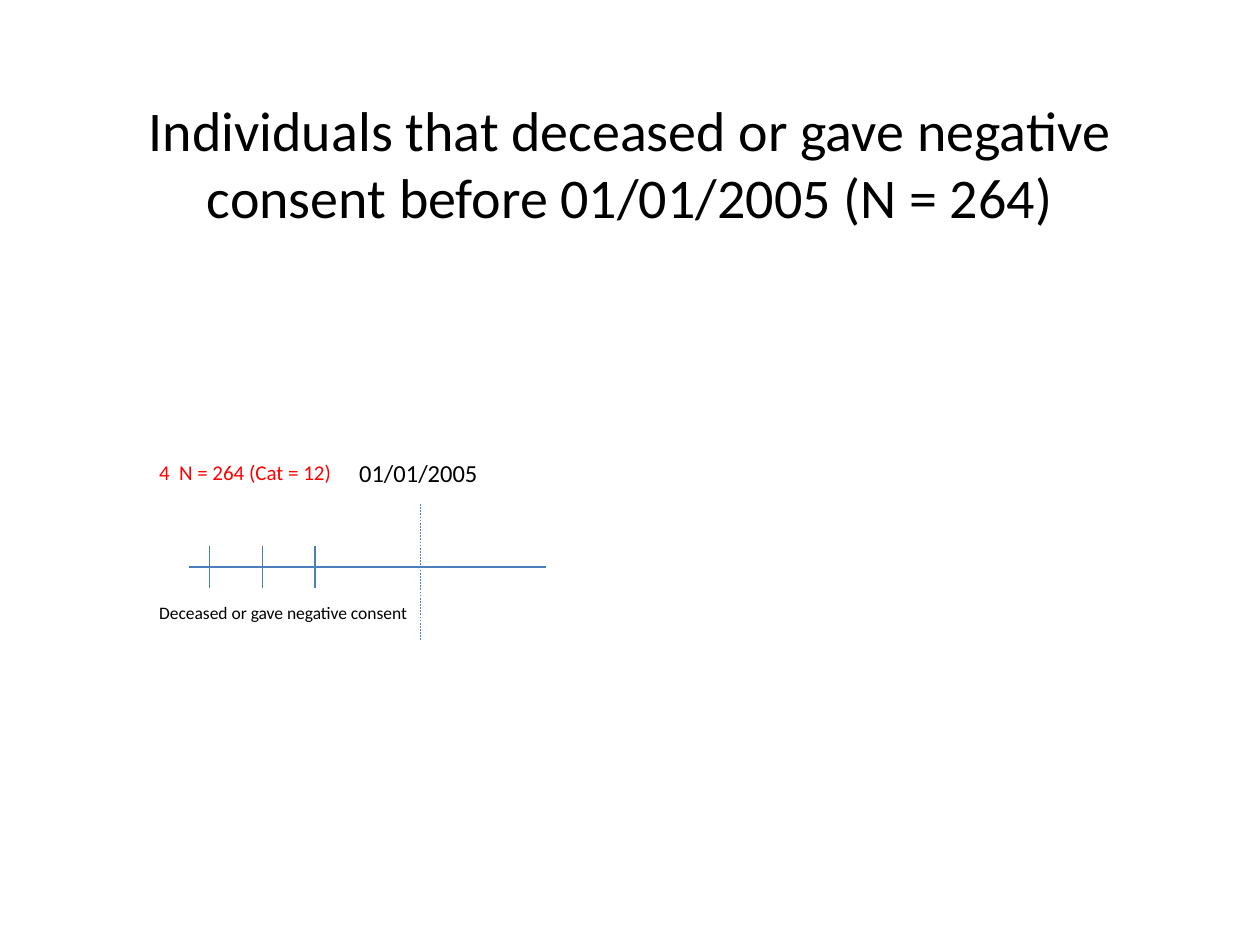
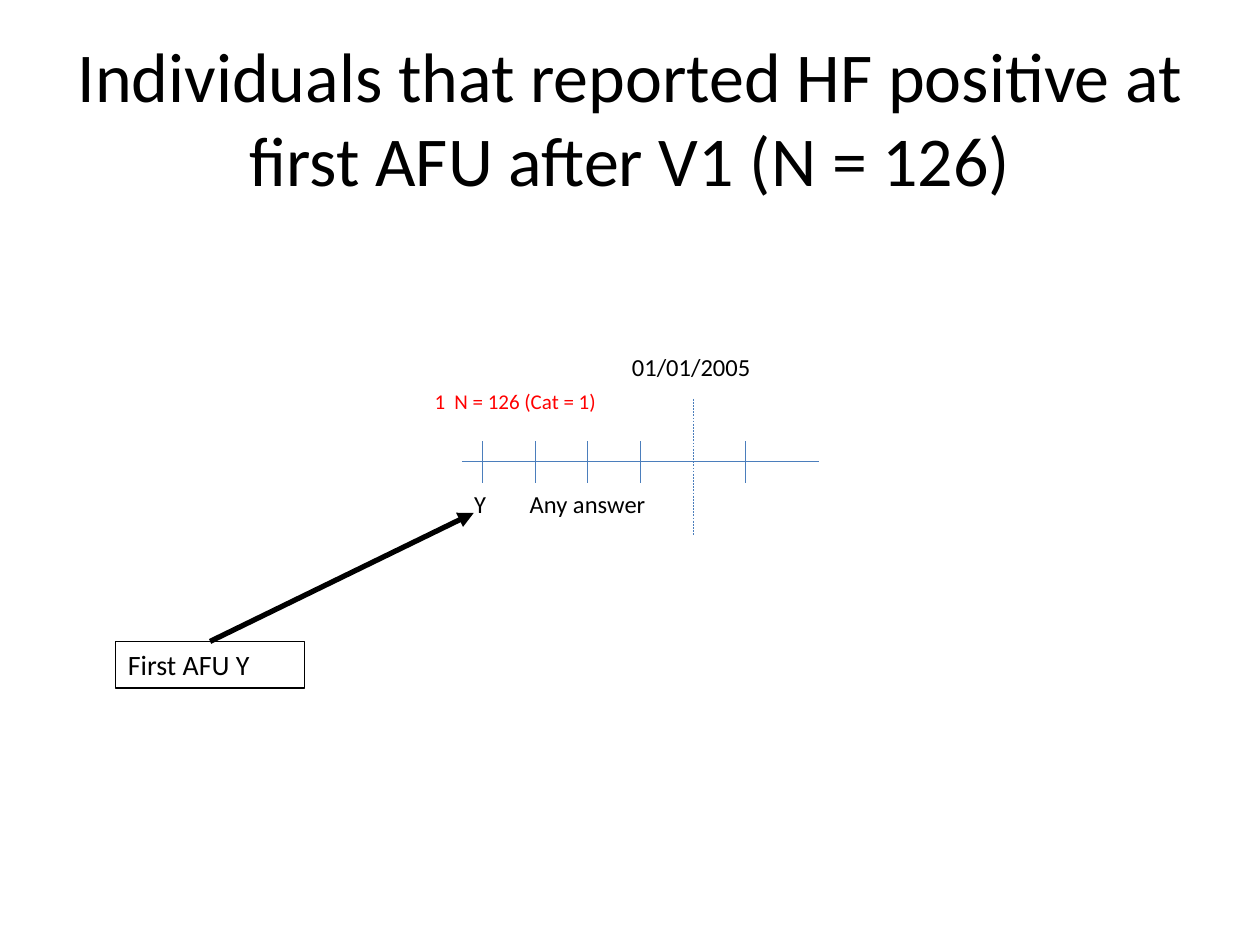
from dataclasses import dataclass

from lxml.etree import SubElement
from pptx import Presentation
from pptx.dml.color import RGBColor
from pptx.enum.dml import MSO_LINE
from pptx.enum.shapes import MSO_CONNECTOR, MSO_SHAPE
from pptx.enum.text import MSO_ANCHOR, MSO_AUTO_SIZE, PP_ALIGN
from pptx.oxml.ns import qn
from pptx.util import Cm, Pt


@dataclass(frozen=True)
class Theme:
    font: str = "Calibri"
    ink: RGBColor = RGBColor(0, 0, 0)
    count: RGBColor = RGBColor(255, 0, 0)
    axis: RGBColor = RGBColor(0x4B, 0x7E, 0xBC)
    small_size: int = 10
    count_size: int = 12
    label_size: int = 14
    callout_size: int = 16
    thin: float = 0.75
    hairline: float = 0.25
    thick: float = 3


THEME = Theme()
CUTOFF = "01/01/2005"
AXIS_LENGTH = 7.2
FIRST_TICK = 0.42
TICK_STEP = 1.06
TICK_REACH = 0.42
CUTOFF_STEP = 4


def apply_format(target, values):
    for name, value in values.items():
        setattr(target, name, value)


def write_text(shape, text, size, color=THEME.ink, align=PP_ALIGN.LEFT,
               tab=None, **frame_format):
    frame = shape.text_frame
    apply_format(frame, {
        "word_wrap": True,
        "auto_size": MSO_AUTO_SIZE.SHAPE_TO_FIT_TEXT,
        "vertical_anchor": MSO_ANCHOR.TOP,
        **frame_format,
    })
    paragraph = frame.paragraphs[0]
    paragraph.text = text
    paragraph.alignment = align
    apply_format(paragraph.runs[0].font, {"name": THEME.font, "size": Pt(size)})
    paragraph.runs[0].font.color.rgb = color
    if tab:
        properties = paragraph._p.get_or_add_pPr()
        stops = SubElement(properties, qn("a:tabLst"))
        SubElement(stops, qn("a:tab"), pos=str(Cm(tab)), algn="l")


def add_label(slide, text, left, top, width, height, size, **text_format):
    box = slide.shapes.add_textbox(Cm(left), Cm(top), Cm(width), Cm(height))
    write_text(box, text, size, **text_format)


def add_title(slide, text, top, size):
    add_label(slide, text, 1.27, top, 22.86, 3.18, size,
              align=PP_ALIGN.CENTER, vertical_anchor=MSO_ANCHOR.MIDDLE,
              auto_size=MSO_AUTO_SIZE.NONE)


def add_count(slide, text, left, top, width):
    add_label(slide, text, left, top, width, 0.76, THEME.count_size,
              color=THEME.count, tab=0.4)


def add_line(slide, start, end, color=THEME.axis, width=THEME.thin,
             dash=None, arrow=False):
    connector = slide.shapes.add_connector(
        MSO_CONNECTOR.STRAIGHT, *map(Cm, (*start, *end)))
    connector.line.color.rgb = color
    apply_format(connector.line, {"width": Pt(width), "dash_style": dash})
    properties = connector._element.spPr
    if arrow:
        SubElement(properties.find(qn("a:ln")), qn("a:tailEnd"), type="triangle")
    SubElement(properties, qn("a:effectLst"))


def add_timeline(slide, left, top, tick_steps):
    add_line(slide, (left, top), (left + AXIS_LENGTH, top))
    for step in tick_steps:
        tick = left + FIRST_TICK + step * TICK_STEP
        add_line(slide, (tick, top - TICK_REACH), (tick, top + TICK_REACH))
    cutoff = left + FIRST_TICK + CUTOFF_STEP * TICK_STEP
    add_line(slide, (cutoff, top - 1.27), (cutoff, top + 1.48),
             width=THEME.hairline, dash=MSO_LINE.DASH)
    add_label(slide, CUTOFF, left + 3.18, top - 2.33, 2.96, 0.86,
              THEME.label_size)


def add_callout(slide, text, left, top, width, height, target):
    box = slide.shapes.add_shape(
        MSO_SHAPE.RECTANGLE, Cm(left), Cm(top), Cm(width), Cm(height))
    box.shadow.inherit = False
    box.fill.background()
    box.line.color.rgb = THEME.ink
    box.line.width = Pt(THEME.thin)
    write_text(box, text, THEME.callout_size)
    add_line(slide, (left + width / 2, top), target, color=THEME.ink,
             width=THEME.thick, arrow=True)


def build_consent_slide(slide):
    add_title(slide, "Individuals that deceased or gave negative consent "
                     "before 01/01/2005 (N = 264)", 1.69, 32)
    add_count(slide, "4\tN = 264 (Cat = 12)", 2.96, 9.14, 4.66)
    add_timeline(slide, 3.81, 11.43, (0, 1, 2))
    add_label(slide, "Deceased or gave negative consent",
              2.96, 12.01, 5.93, 0.69, THEME.small_size)


def build_first_report_slide(slide):
    add_timeline(slide, 9.31, 9.31, (0, 1, 2, 3, 5))
    add_label(slide, "Y\tAny answer", 9.31, 9.74, 4.83, 0.86,
              THEME.label_size, tab=1.12)
    add_count(slide, "1\tN = 126 (Cat = 1)", 8.51, 7.7, 3.81)
    add_title(slide, "Individuals that reported HF positive at first AFU "
                     "after V1 (N = 126)", 0.76, 40)
    add_callout(slide, "First AFU Y", 2.33, 12.93, 3.81, 0.94, (9.55, 10.34))


def main():
    presentation = Presentation()
    apply_format(presentation, {"slide_width": Cm(25.4), "slide_height": Cm(19.05)})
    blank = presentation.slide_layouts[6]
    for build in (build_consent_slide, build_first_report_slide):
        build(presentation.slides.add_slide(blank))
    presentation.save("out.pptx")


if __name__ == "__main__":
    main()
